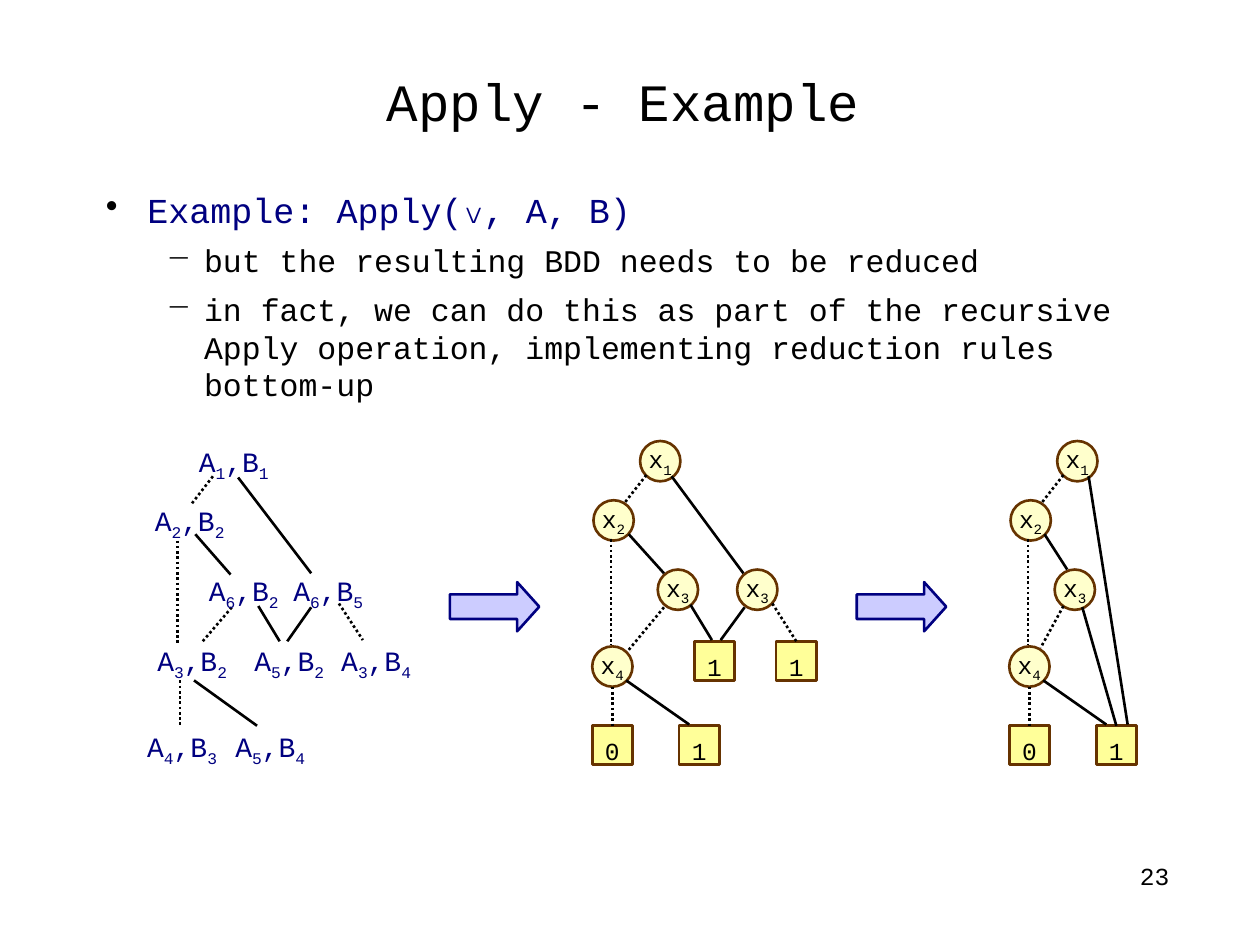
from dataclasses import dataclass
from lxml.etree import SubElement
from pptx import Presentation
from pptx.dml.color import RGBColor
from pptx.enum.dml import MSO_LINE as Dash
from pptx.enum.shapes import MSO_CONNECTOR as Link, MSO_SHAPE as Form
from pptx.enum.text import MSO_ANCHOR as Anchor, PP_ALIGN as Align
from pptx.oxml.ns import qn
from pptx.util import Cm, Pt

FONT = "Courier New"
BLACK, NAVY, BROWN = "000000", "000080", "663300"
CREAM, YELLOW, LILAC = "FFFFCC", "FFFF99", "CCCCFF"


@dataclass
class Node:
    x: float
    y: float
    texts: tuple


@dataclass
class Edge:
    x: float
    y: float
    end_x: float
    end_y: float
    dots: bool = False
    goal: str = ""


@dataclass
class Item:
    text: str
    size: int
    ink: str
    mark: str
    left: float
    hang: float


def dist(inches: float) -> int:
    return Cm(inches * 2.54)


def tint(code: str) -> RGBColor:
    return RGBColor.from_string(code)


def write(par, texts: tuple, size: int, ink: str) -> None:
    for i, text in enumerate(texts):
        run = par.add_run()
        run.text = text
        run.font.name, run.font.size = FONT, Pt(size)
        run.font.color.rgb = tint(ink)
        if i % 2:
            run._r.get_or_add_rPr().set("baseline", "-25000")


def inset(frame, side: float, top: float, base: float) -> None:
    frame.margin_left = frame.margin_right = dist(side)
    frame.margin_top, frame.margin_bottom = dist(top), dist(base)


def add_box(shapes, x: float, y: float, w: float, h: float, side: float = 0, top: float = 0):
    frame = shapes.add_textbox(dist(x), dist(y), dist(w), dist(h)).text_frame
    frame.word_wrap = True
    inset(frame, side, top, top)
    return frame


def add_form(shapes, form, x: float, y: float, w: float, h: float, fill: str, line: str):
    shape = shapes.add_shape(form, dist(x), dist(y), dist(w), dist(h))
    shape.shadow.inherit = False
    shape.fill.solid()
    shape.fill.fore_color.rgb = tint(fill)
    shape.line.color.rgb = tint(line)
    shape.line.width = Pt(1.5)
    return shape


def add_node(shapes, node: Node, shift: float):
    test = len(node.texts) > 1
    form, fill, h = (Form.OVAL, CREAM, 0.32) if test else (Form.RECTANGLE, YELLOW, 0.31)
    shape = add_form(shapes, form, node.x + shift, node.y, 0.32, h, fill, BROWN)
    frame = shape.text_frame
    frame.word_wrap = False
    frame.vertical_anchor = Anchor.MIDDLE
    inset(frame, 0, 0 if test else 0.09, 0)
    par = frame.paragraphs[0]
    par.alignment = Align.CENTER
    write(par, node.texts, 14, BLACK)
    return shape


def add_edge(shapes, edge: Edge, shift: float, goals: dict) -> None:
    link = shapes.add_connector(Link.STRAIGHT, dist(edge.x + shift), dist(edge.y),
                                dist(edge.end_x + shift), dist(edge.end_y))
    link.line.color.rgb = tint(BLACK)
    link.line.width = Pt(1.5)
    if edge.dots:
        link.line.dash_style = Dash.ROUND_DOT
    SubElement(link._element.spPr, qn("a:effectLst"))
    if edge.goal:
        link.end_connect(goals[edge.goal], 0)


def add_graph(slide, nodes: dict, edges: list, shift: float = 0) -> None:
    shapes = slide.shapes.add_group_shape().shapes
    goals = {key: add_node(shapes, node, shift) for key, node in nodes.items()}
    for edge in edges:
        add_edge(shapes, edge, shift, goals)


def add_calls(slide, calls: list, edges: list) -> None:
    shapes = slide.shapes.add_group_shape().shapes
    for edge in edges:
        add_edge(shapes, edge, 0, {})
    for call in calls:
        par = add_box(shapes, call.x, call.y, 0.95, 0.41, 0.1, 0.05).paragraphs[0]
        par.alignment = Align.CENTER
        write(par, call.texts, 16, NAVY)


def add_item(par, item: Item) -> None:
    props = par._p.get_or_add_pPr()
    props.set("marL", str(dist(item.left)))
    props.set("indent", str(-dist(item.hang)))
    SubElement(SubElement(props, qn("a:buClr")), qn("a:srgbClr")).set("val", BLACK)
    SubElement(props, qn("a:buChar")).set("char", item.mark)
    write(par, (item.text,), item.size, item.ink)


def pair(x: float, y: float, a: str, b: str) -> Node:
    return Node(x, y, ("A", a, ",B", b))


ITEMS = [
    Item("Example: Apply(∨, A, B)", 20, NAVY, "•", 0.44, 0.33),
    Item("but the resulting BDD needs to be reduced", 18, BLACK, "−", 0.89, 0.3),
    Item("in fact, we can do this as part of the recursive Apply operation, "
         "implementing reduction rules bottom-up", 18, BLACK, "−", 0.89, 0.3),
]
CALLS = [
    pair(1.38, 3.48, "1", "1"), pair(1.03, 3.95, "2", "2"),
    pair(1.46, 4.5, "6", "2"), pair(2.13, 4.5, "6", "5"),
    pair(1.05, 5.06, "3", "2"), pair(1.82, 5.06, "5", "2"), pair(2.51, 5.06, "3", "4"),
    pair(0.97, 5.74, "4", "3"), pair(1.67, 5.74, "5", "4"),
]
STEPS = [
    Edge(1.89, 3.79, 2.47, 4.55), Edge(1.69, 3.78, 1.52, 4, True),
    Edge(1.41, 4.29, 1.41, 5.12, True), Edge(1.84, 4.82, 1.6, 5.1, True),
    Edge(1.55, 4.24, 1.83, 4.56), Edge(2.05, 4.81, 2.22, 5.09),
    Edge(1.43, 5.4, 1.43, 5.75, True), Edge(1.54, 5.4, 2.04, 5.76),
    Edge(2.47, 4.82, 2.28, 5.09), Edge(2.69, 4.79, 2.88, 5.08, True),
]
NODES = {
    "x1": Node(5.08, 3.5, ("x", "1")), "x2": Node(4.71, 3.97, ("x", "2")),
    "x4": Node(4.7, 5.13, ("x", "4")),
    "zero": Node(4.7, 5.76, ("0",)), "one": Node(5.39, 5.76, ("1",)),
}
EDGES = [
    Edge(5.13, 3.77, 4.95, 4, True), Edge(4.85, 4.28, 4.85, 5.12, True),
    Edge(4.86, 5.45, 4.86, 5.76, True, "zero"), Edge(4.97, 5.4, 5.47, 5.75),
]
FULL_NODES = {
    "left": Node(5.22, 4.52, ("x", "3")), "right": Node(5.85, 4.52, ("x", "3")),
    "mid": Node(5.51, 5.09, ("1",)), "far": Node(6.16, 5.09, ("1",)),
}
FULL_EDGES = [
    Edge(5.33, 3.78, 5.9, 4.55), Edge(4.99, 4.24, 5.27, 4.55),
    Edge(5.27, 4.82, 4.98, 5.17, True), Edge(5.48, 4.8, 5.65, 5.08),
    Edge(5.91, 4.82, 5.72, 5.08), Edge(6.13, 4.79, 6.32, 5.09, True, "far"),
]
SMALL_NODES = {"x3": Node(5.06, 4.52, ("x", "3"))}
SMALL_EDGES = [
    Edge(5.33, 3.78, 5.64, 5.75), Edge(4.98, 4.24, 5.16, 4.52),
    Edge(5.13, 4.81, 4.95, 5.14, True), Edge(5.28, 4.82, 5.55, 5.76, False, "one"),
]


def main() -> None:
    """Build the slide on reducing the result of Apply."""
    deck = Presentation()
    deck.slide_width, deck.slide_height = dist(10), dist(7.5)
    slide = deck.slides.add_slide(deck.slide_layouts[6])

    title = add_box(slide.shapes, 0.68, 0.37, 8.53, 0.86)
    title.vertical_anchor = Anchor.MIDDLE
    title.paragraphs[0].alignment = Align.CENTER
    write(title.paragraphs[0], ("Apply - Example",), 30, BLACK)

    body = add_box(slide.shapes, 0.73, 1.5, 8.53, 1.8)
    for i, item in enumerate(ITEMS):
        par = body.add_paragraph() if i else body.paragraphs[0]
        add_item(par, item)
        if i:
            par.space_before = Pt(6)

    add_calls(slide, CALLS, STEPS)
    add_graph(slide, NODES | FULL_NODES, EDGES + FULL_EDGES)
    add_graph(slide, NODES | SMALL_NODES, EDGES + SMALL_EDGES, 3.31)
    for x in (3.57, 6.8):
        arrow = add_form(slide.shapes, Form.RIGHT_ARROW, x, 4.62, 0.71, 0.39, LILAC, NAVY)
        arrow.adjustments[1] = 0.45

    page = add_box(slide.shapes, 7.67, 6.83, 1.61, 0.52).paragraphs[0]
    page.alignment = Align.RIGHT
    write(page, ("23",), 14, BLACK)
    deck.save("out.pptx")


if __name__ == "__main__":
    main()
